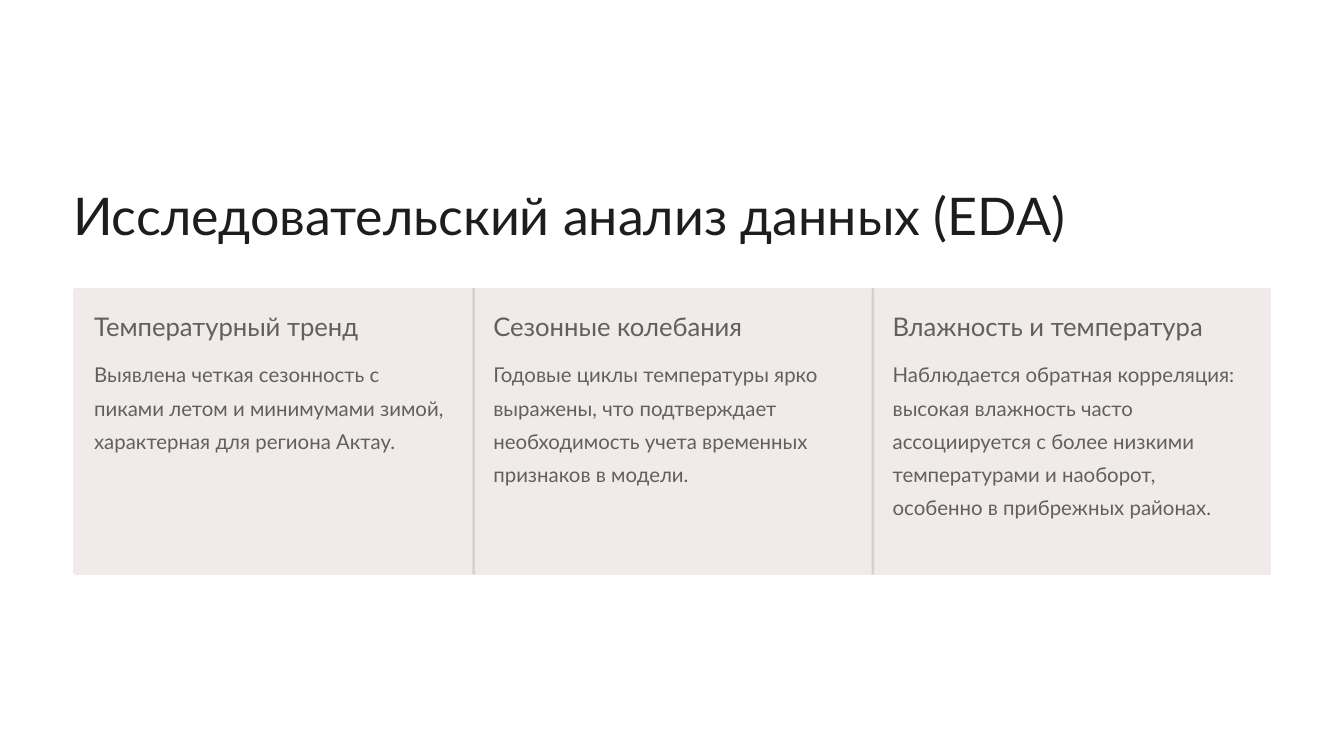
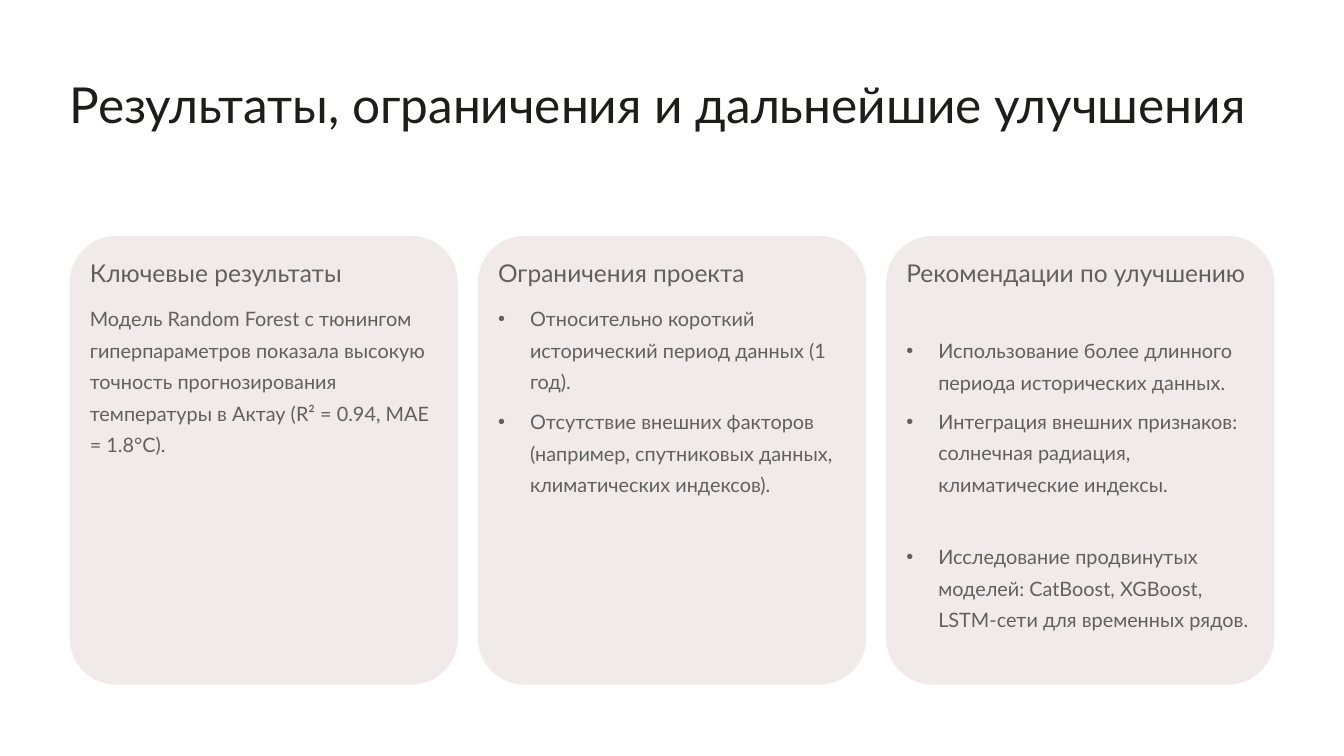
from dataclasses import dataclass
from lxml import etree
from pptx import Presentation
from pptx import util as u
from pptx.dml.color import RGBColor
from pptx.enum import shapes, text
from pptx.oxml.ns import qn

TREND = {
    "title": "Исследовательский анализ данных (EDA)",
    "cols": [
        ("Температурный тренд",
         "Выявлена четкая сезонность с пиками летом и минимумами зимой, "
         "характерная для региона Актау."),
        ("Сезонные колебания",
         "Годовые циклы температуры ярко выражены, что подтверждает "
         "необходимость учета временных признаков в модели."),
        ("Влажность и температура",
         "Наблюдается обратная корреляция: высокая влажность часто "
         "ассоциируется с более низкими температурами и наоборот, "
         "особенно в прибрежных районах."),
    ],
}
RESULT = {
    "title": "Результаты, ограничения и дальнейшие улучшения",
    "lead": ("Ключевые результаты",
             "Модель Random Forest с тюнингом гиперпараметров показала высокую "
             "точность прогнозирования температуры в Актау "
             "(R² = 0.94, MAE = 1.8°C)."),
    "lists": [
        ("Ограничения проекта", 75, [
            ("Относительно короткий исторический период данных (1 год).", 0),
            ("Отсутствие внешних факторов (например, спутниковых данных, "
             "климатических индексов).", 7.5),
        ]),
        ("Рекомендации по улучшению", 113, [
            ("Использование более длинного периода исторических данных.", 0),
            ("Интеграция внешних признаков: солнечная радиация, "
             "климатические индексы.", 6.5),
            ("Исследование продвинутых моделей: CatBoost, XGBoost, "
             "LSTM-сети для временных рядов.", 35),
        ]),
    ],
}


@dataclass(frozen=True)
class Style:
    size: float
    line: float
    color: str


class Theme:
    font = "Lato"
    card = "F0EAEA"
    rule = "D6D0D0"
    ink = "1D1D1B"
    gray = "61615C"
    trend = {"title": Style(44.5, 55.5, ink), "head": Style(22, 27.5, gray),
             "body": Style(17.5, 28.5, gray)}
    result = {"title": Style(42.5, 53.5, ink), "head": Style(21, 26.5, gray),
              "body": Style(17, 27, gray)}


PX = 9144
RECT = shapes.MSO_SHAPE.RECTANGLE
ROUND = shapes.MSO_SHAPE.ROUNDED_RECTANGLE


def emu(box):
    return [round(v * PX) for v in box]


def panel(slide, box, color, adj=None):
    shape = slide.shapes.add_shape(RECT if adj is None else ROUND, *emu(box))
    if adj is not None:
        shape.adjustments[0] = adj
    shape.shadow.inherit = False
    shape.fill.solid()
    shape.fill.fore_color.rgb = RGBColor.from_string(color)
    shape.line.fill.background()


def bullet(para):
    props = para._p.get_or_add_pPr()
    props.set("marL", str(38 * PX))
    props.set("indent", str(-38 * PX))
    etree.SubElement(props, qn("a:buChar")).set("char", "•")


def write(shape, box, items, style, dots=False):
    shape.left, shape.top, shape.width, shape.height = emu(box)
    frame = shape.text_frame
    frame.text = "\n".join(words for words, gap in items)
    frame.word_wrap = True
    frame.auto_size = text.MSO_AUTO_SIZE.NONE
    frame.vertical_anchor = text.MSO_ANCHOR.TOP
    frame.margin_left = frame.margin_right = 0
    frame.margin_top = frame.margin_bottom = 0
    for para, (words, gap) in zip(frame.paragraphs, items):
        if dots:
            bullet(para)
        para.alignment = text.PP_ALIGN.LEFT
        para.line_spacing = u.Pt(style.line)
        para.space_before = u.Pt(gap)
        for run in para.runs:
            run.font.name = Theme.font
            run.font.size = u.Pt(style.size)
            run.font.color.rgb = RGBColor.from_string(style.color)


def label(slide, box, words, style):
    write(slide.shapes.add_textbox(*emu(box)), box, [(words, 0)], style)


def trend(deck):
    slide = deck.slides.add_slide(deck.slide_layouts[5])
    look = Theme.trend
    left, top, wide, high, pad = 87, 343, 1426, 341, 25
    step = wide / len(TREND["cols"])
    write(slide.shapes.title, (left, 216, wide, 78),
          [(TREND["title"], 0)], look["title"])
    panel(slide, (left, top, wide, high), Theme.card, 0.01)
    for i, (head, body) in enumerate(TREND["cols"]):
        x = left + i * step
        panel(slide, (x, top, step, high), Theme.card, None if i else 0.01)
        if i:
            panel(slide, (x, top, 3, high), Theme.rule, 0.5)
        label(slide, (x + pad, top + pad, step - 2 * pad, 39), head, look["head"])
        label(slide, (x + pad, top + 78, step - 2 * pad, 238), body, look["body"])


def result(deck):
    slide = deck.slides.add_slide(deck.slide_layouts[3])
    look = Theme.result
    left, top, wide, high, pad = 83, 281, 462, 534, 24
    inner = wide - 2 * pad
    title, *bodies = slide.placeholders
    write(title, (left, 84, 1433, 149), [(RESULT["title"], 0)], look["title"])
    heads = [RESULT["lead"][0]] + [col[0] for col in RESULT["lists"]]
    spots = [left + i * (wide + pad) for i in range(len(heads))]
    for x, head in zip(spots, heads):
        panel(slide, (x, top, wide, high), Theme.card, 0.12)
        label(slide, (x + pad, top + pad, inner, 37), head, look["head"])
    label(slide, (spots[0] + pad, top + 75, inner, 191),
          RESULT["lead"][1], look["body"])
    for x, body, (head, drop, items) in zip(spots[1:], bodies, RESULT["lists"]):
        slide.shapes.element.append(body.element)
        write(body, (x + pad, top + drop, inner, high - drop - pad),
              items, look["body"], dots=True)


def main():
    deck = Presentation()
    deck.slide_width, deck.slide_height = emu((1600, 900))
    trend(deck)
    result(deck)
    deck.save("out.pptx")


if __name__ == "__main__":
    main()
